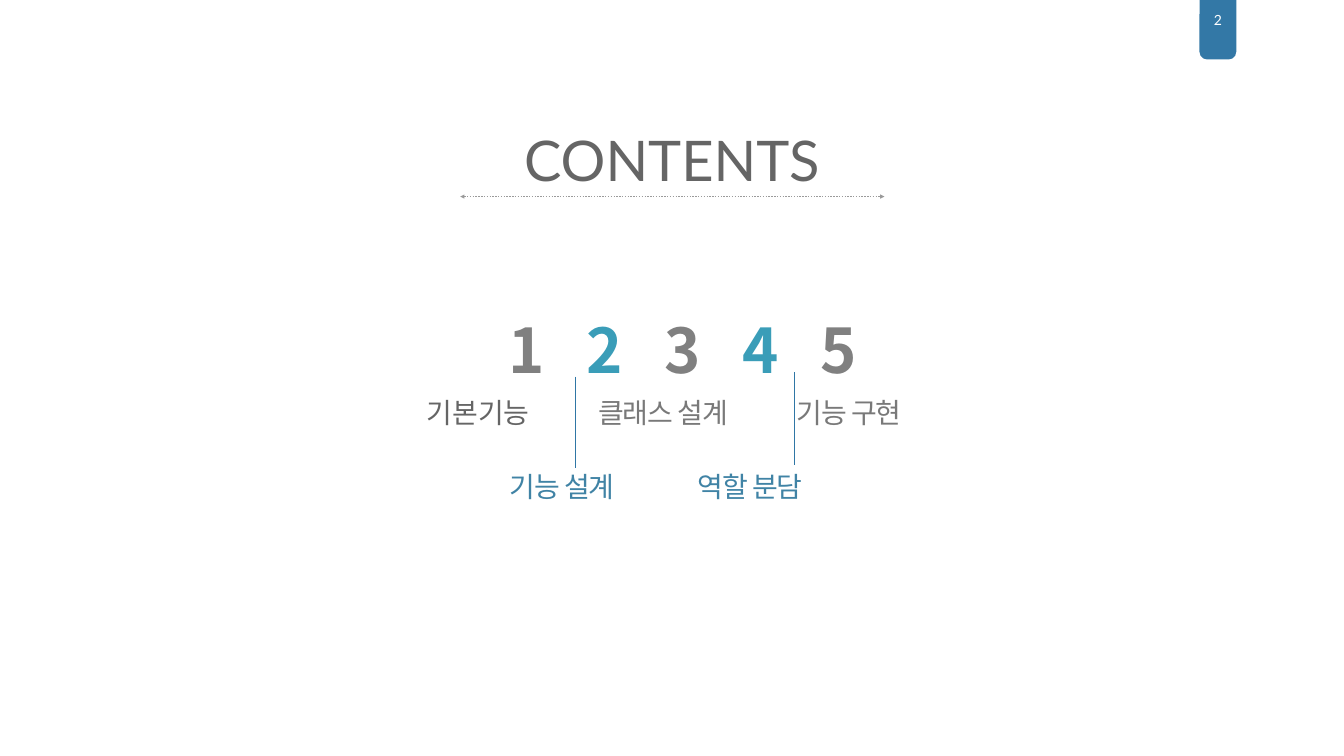
from typing import NamedTuple

from pptx import Presentation
from pptx.dml.color import RGBColor
from pptx.enum.dml import MSO_LINE
from pptx.enum.shapes import MSO_CONNECTOR, MSO_SHAPE
from pptx.enum.text import MSO_ANCHOR, PP_ALIGN
from pptx.oxml.ns import qn
from pptx.shapes.connector import Connector
from pptx.slide import Slide
from pptx.util import Pt
from lxml.etree import SubElement

WHITE = RGBColor(0xFF, 0xFF, 0xFF)
TAB_BLUE = RGBColor(0x33, 0x78, 0xA6)
DARK_GRAY = RGBColor(0x65, 0x65, 0x65)
LABEL_GRAY = RGBColor(0x79, 0x79, 0x79)
NUMBER_GRAY = RGBColor(0x80, 0x80, 0x80)
RULE_GRAY = RGBColor(0x9A, 0x9A, 0x9A)
NUMBER_TEAL = RGBColor(0x3A, 0x9D, 0xB8)
LABEL_BLUE = RGBColor(0x40, 0x83, 0xA5)
LINE_BLUE = RGBColor(0x2F, 0x76, 0xA5)
KOREAN_FONT = "Noto Sans CJK KR"


class TextStyle(NamedTuple):
    font: str
    size: float
    color: RGBColor
    bold: bool = False
    spacing: float = 0


class Chapter(NamedTuple):
    label: str
    center: float
    middle: float
    number_color: RGBColor
    label_color: RGBColor
    spacing: float = -1.5


UPPER_ROW, LOWER_ROW = 589, 695
CHAPTERS = [
    Chapter("기본기능", 683, UPPER_ROW, NUMBER_GRAY, DARK_GRAY, 0),
    Chapter("기능 설계", 803, LOWER_ROW, NUMBER_TEAL, LABEL_BLUE),
    Chapter("클래스 설계", 947, UPPER_ROW, NUMBER_GRAY, LABEL_GRAY),
    Chapter("역할 분담", 1071.5, LOWER_ROW, NUMBER_TEAL, LABEL_BLUE),
    Chapter("기능 구현", 1213, UPPER_ROW, NUMBER_GRAY, LABEL_GRAY),
]
NUMBER_CENTER, NUMBER_MIDDLE, NUMBER_PITCH = 975, 498, 111.5


def add_text(slide: Slide, text: str, center: float, middle: float,
             width: float, height: float, style: TextStyle) -> None:
    """Add one line of text centred on a point."""
    box = slide.shapes.add_textbox(Pt(center - width / 2), Pt(middle - height / 2),
                                   Pt(width), Pt(height))
    frame = box.text_frame
    frame.word_wrap = True
    frame.vertical_anchor = MSO_ANCHOR.MIDDLE
    frame.margin_left = frame.margin_right = frame.margin_top = frame.margin_bottom = 0
    paragraph = frame.paragraphs[0]
    paragraph.alignment = PP_ALIGN.CENTER
    run = paragraph.add_run()
    run.text = text
    run.font.name = style.font
    run.font.size = Pt(style.size)
    run.font.bold = style.bold
    run.font.color.rgb = style.color
    properties = run.font._element
    SubElement(properties, qn("a:ea")).set("typeface", KOREAN_FONT)
    if style.spacing:
        properties.set("spc", str(round(style.spacing * 100)))


def add_line(slide: Slide, start: tuple[float, float], end: tuple[float, float],
             color: RGBColor, width: float) -> Connector:
    connector = slide.shapes.add_connector(
        MSO_CONNECTOR.STRAIGHT, Pt(start[0]), Pt(start[1]), Pt(end[0]), Pt(end[1]))
    connector.line.color.rgb = color
    connector.line.width = Pt(width)
    SubElement(connector._element.spPr, qn("a:effectLst"))
    return connector


def add_page_tab(slide: Slide) -> None:
    tab = slide.shapes.add_shape(MSO_SHAPE.ROUNDED_RECTANGLE,
                                 Pt(1713.6), Pt(-15), Pt(52.5), Pt(100))
    tab.adjustments[0] = 0.21
    tab.shadow.inherit = False
    tab.fill.solid()
    tab.fill.fore_color.rgb = TAB_BLUE
    tab.line.fill.background()
    add_text(slide, "2", 1740, 29, 24, 24, TextStyle("Lato", 20, WHITE))


def add_title(slide: Slide) -> None:
    add_text(slide, "CONTENTS", 960, 228, 1650, 97, TextStyle("Lato", 80, DARK_GRAY))
    rule = add_line(slide, (657.5, 280.8), (1263.5, 280.8), RULE_GRAY, 2)
    rule.line.dash_style = MSO_LINE.ROUND_DOT
    line_properties = rule.line._get_or_add_ln()
    for arrow_end in ("a:headEnd", "a:tailEnd"):
        SubElement(line_properties, qn(arrow_end)).set("type", "triangle")


def add_chapters(slide: Slide) -> None:
    first_center = NUMBER_CENTER - NUMBER_PITCH * (len(CHAPTERS) - 1) / 2
    for index, chapter in enumerate(CHAPTERS):
        add_text(slide, str(index + 1), first_center + index * NUMBER_PITCH,
                 NUMBER_MIDDLE, 100, 136,
                 TextStyle(KOREAN_FONT, 88, chapter.number_color, bold=True))
        add_text(slide, chapter.label, chapter.center, chapter.middle, 220, 60,
                 TextStyle("Arial", 40, chapter.label_color, spacing=chapter.spacing))


def main() -> None:
    presentation = Presentation()
    presentation.slide_width, presentation.slide_height = Pt(1920), Pt(1080)
    slide = presentation.slides.add_slide(presentation.slide_layouts[6])

    # Page number and heading
    add_page_tab(slide)
    add_title(slide)

    # Numbered chapters with their labels
    add_chapters(slide)

    # Lines leading down to the lower labels
    for x, top, bottom in ((822.2, 538, 669), (1134, 532, 664.5)):
        add_line(slide, (x, top), (x, bottom), LINE_BLUE, 0.75)

    presentation.save("out.pptx")


if __name__ == "__main__":
    main()
